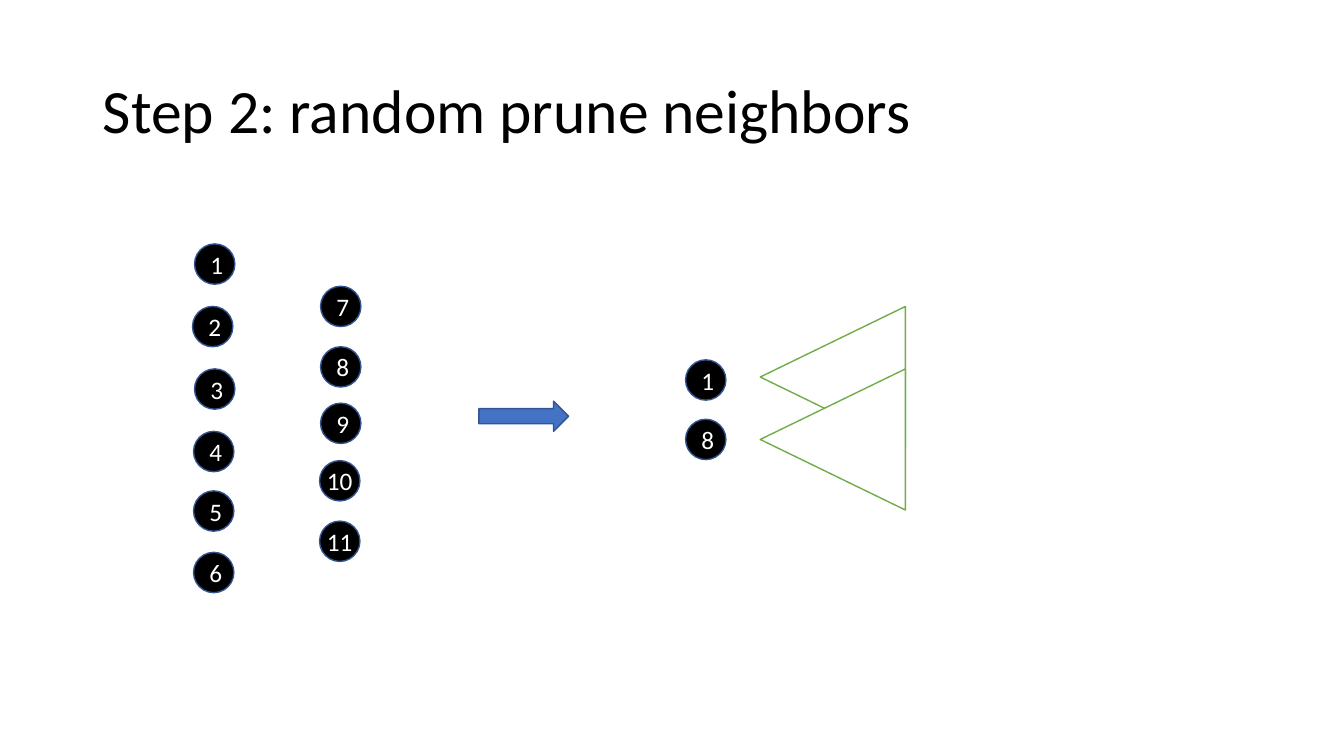
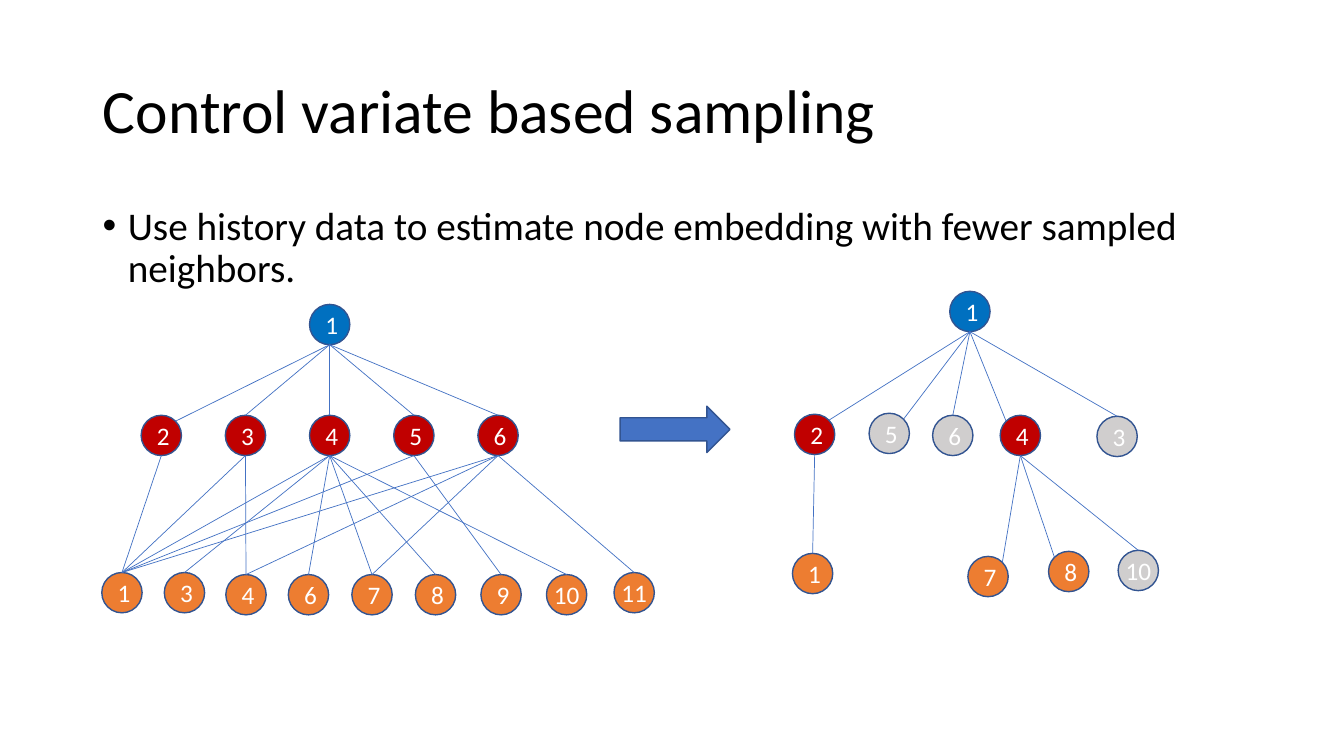
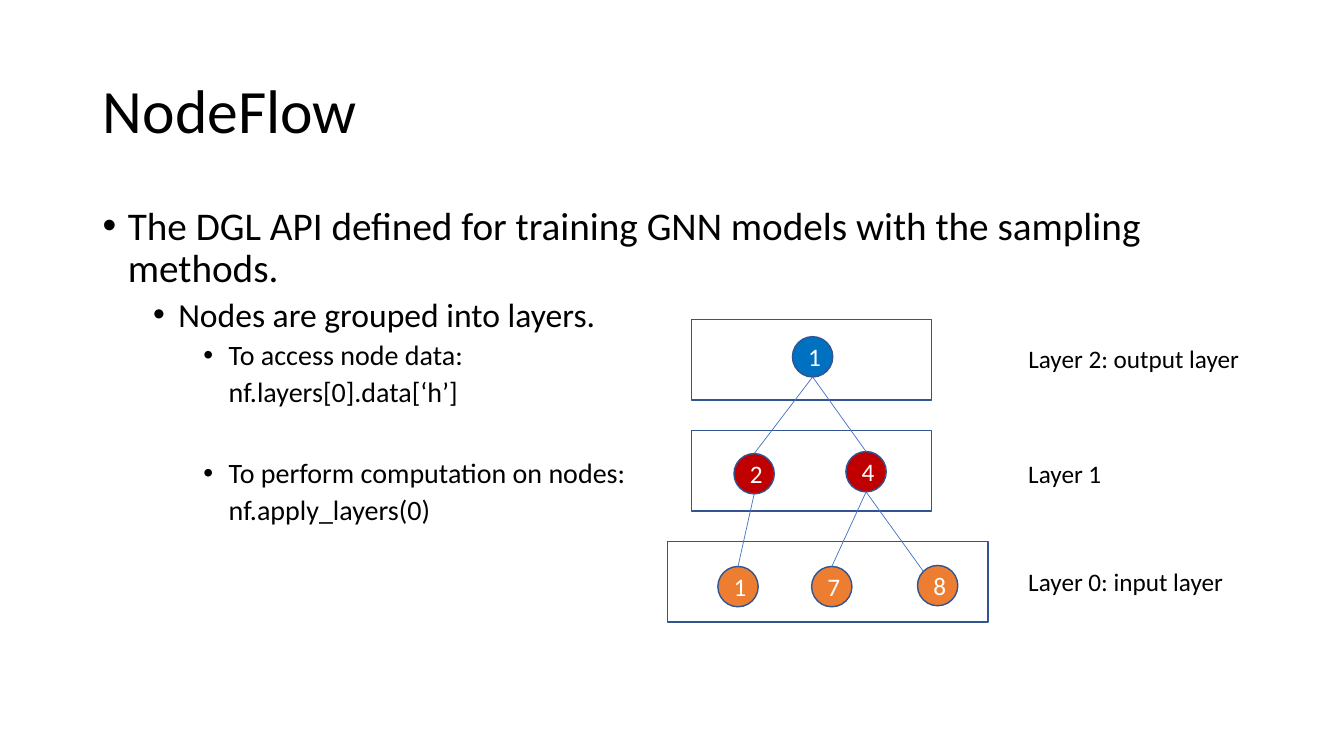
"""Build three slides on neighbor sampling and the NodeFlow API."""
from lxml.etree import SubElement
from pptx import Presentation
from pptx.dml.color import RGBColor
from pptx.enum.shapes import MSO_CONNECTOR, MSO_SHAPE as SHAPE
from pptx.enum.text import MSO_ANCHOR as ANCHOR, MSO_AUTO_SIZE, PP_ALIGN as ALIGN
from pptx.oxml.ns import qn
from pptx.util import Emu, Pt

PX = 9144
FONT = "Calibri"
COLOURS = {
    "black": "000000", "white": "FFFFFF", "outline": "325491", "arrow": "4472C4",
    "green": "70AD47", "root": "0070C0", "hidden": "C00000", "input": "ED7D31",
    "history": "D0CECE",
}
SLIDE_SIZE = (1333, 750)
TITLE_BOX = (92, 40, 1150, 145)
BODY_BOX = (92, 200, 1150, 476)
NODE = 40
SITES = {"top": (0, 0, -1), "top left": (1, -0.7071, -0.7071),
         "bottom": (4, 0, 1), "top right": (7, 0.7071, -0.7071)}
BODY_SIZES = (28, 24, 20)

PRUNE_NODES = [
    ("a1", "black", 193, 242), ("a2", "black", 191, 304), ("a3", "black", 193, 366),
    ("a4", "black", 192, 428), ("a5", "black", 192, 487), ("a6", "black", 192, 548),
    ("b7", "black", 318, 284), ("b8", "black", 318, 344), ("b9", "black", 318, 400),
    ("b10", "black", 317, 457), ("b11", "black", 317, 517),
    ("c1", "black", 680, 357), ("c8", "black", 680, 416),
]
PRUNE_ARROW = (475, 398, 89, 30)
FANS = [(756, 302, 140, 144), (756, 364, 140, 144)]

HISTORY_BODY = [
    (0, True, 0, "Use history data to estimate node embedding with fewer sampled neighbors."),
]
FULL_NODES = [("a1", "root", 307, 302)] + [
    (f"b{number}", "hidden", 140 + 83.5 * column, 412)
    for column, number in enumerate(range(2, 7))
] + [
    ("c1", "input", 101, 568), ("c3", "input", 163, 568), ("c4", "input", 224, 570),
    ("c6", "input", 286, 570), ("c7", "input", 349, 570), ("c8", "input", 412, 570),
    ("c9", "input", 477, 570), ("c10", "input", 542, 570), ("c11", "input", 609, 568),
]
FULL_EDGES = {
    "a1": [("b2", "top right"), "b3", "b4", "b5", "b6"],
    "b2": ["c1"],
    "b3": ["c1", "c4"],
    "b4": ["c1", "c3", "c6", "c7", "c8", "c10"],
    "b5": ["c1", "c9"],
    "b6": ["c1", "c4", "c7", "c11"],
}
SAMPLED_NODES = [
    ("a1", "root", 942, 289), ("b2", "hidden", 788, 411), ("b5", "history", 862, 410),
    ("b6", "history", 925, 412), ("b4", "hidden", 992, 412), ("b3", "history", 1088, 413),
    ("c1", "input", 786, 549), ("c7", "input", 960, 552), ("c8", "input", 1040, 547),
    ("c10", "history", 1109, 546),
]
SAMPLED_EDGES = {
    "a1": [("b2", "top right"), ("b5", "top right"), "b6", ("b4", "top left"), "b3"],
    "b2": ["c1"],
    "b4": [("c7", "top right"), ("c8", "top left"), "c10"],
}
HISTORY_ARROW = (615, 403, 109, 46)

FLOW_BODY = [
    (0, True, 0, "The DGL API defined for training GNN models with the sampling methods."),
    (1, True, 5, "Nodes are grouped into layers."),
    (2, True, 5, "To access node data:"),
    (2, False, 5, "nf.layers[0].data[‘h’]"),
    (2, True, 36, "To perform computation on nodes:"),
    (2, False, 5, "nf.apply_layers(0)"),
]
FLOW_NODES = [
    ("a1", "root", 786, 334), ("b2", "hidden", 728, 450), ("b4", "hidden", 839, 448),
    ("c1", "input", 712, 562), ("c7", "input", 805, 562), ("c8", "input", 910, 561),
]
FLOW_EDGES = {"a1": ["b2", "b4"], "b2": ["c1"], "b4": ["c7", ("c8", "top left")]}
LAYER_BOXES = [(686, 317, 238, 80), (686, 427, 238, 80), (662, 537, 318, 80)]
LAYER_LABELS = [
    ("Layer 2: output layer", (1010, 336, 232, 40)),
    ("Layer 1", (1010, 450, 94, 40)),
    ("Layer 0: input layer", (1010, 557, 216, 40)),
]


def emu(*lengths):
    return [Emu(round(length * PX)) for length in lengths]


def colour(name):
    return RGBColor.from_string(COLOURS[name])


def format_runs(paragraph, size, colour_name="black"):
    for run in paragraph.runs:
        run.font.name = FONT
        run.font.size = Pt(size)
        run.font.color.rgb = colour(colour_name)


def add_titled_slide(presentation, text):
    slide = presentation.slides.add_slide(presentation.slide_layouts[5])
    title = slide.shapes.title
    title.left, title.top, title.width, title.height = emu(*TITLE_BOX)
    frame = title.text_frame
    frame.text = text
    frame.auto_size = MSO_AUTO_SIZE.NONE
    frame.vertical_anchor = ANCHOR.MIDDLE
    paragraph = frame.paragraphs[0]
    paragraph.alignment = ALIGN.LEFT
    paragraph.line_spacing = 0.9
    format_runs(paragraph, 44)
    return slide


def add_text(slide, box, text, wrap):
    frame = slide.shapes.add_textbox(*emu(*box)).text_frame
    frame.word_wrap = wrap
    frame.text = text
    return frame


def add_body(slide, items):
    text = "\n".join(item[3] for item in items)
    frame = add_text(slide, BODY_BOX, text, True)
    for paragraph, (level, bulleted, space, _) in zip(frame.paragraphs, items):
        properties = paragraph._p.get_or_add_pPr()
        margin, hanging = emu(25 + 50 * level, -25 if bulleted else 0)
        properties.set("marL", str(margin))
        properties.set("indent", str(hanging))
        if bulleted:
            SubElement(properties, qn("a:buFont"), typeface="Arial")
            SubElement(properties, qn("a:buChar"), char="•")
        else:
            SubElement(properties, qn("a:buNone"))
        paragraph.level = level
        paragraph.line_spacing = 0.9
        paragraph.space_before = Pt(space)
        format_runs(paragraph, BODY_SIZES[level])


def add_shape(slide, kind, box, fill=None, line="outline"):
    shape = slide.shapes.add_shape(kind, *emu(*box))
    shape.shadow.inherit = False
    if fill:
        shape.fill.solid()
        shape.fill.fore_color.rgb = colour(fill)
    else:
        shape.fill.background()
    shape.line.color.rgb = colour(line)
    shape.line.width = Pt(1)
    return shape


def add_node(slide, label, fill, x, y):
    node = add_shape(slide, SHAPE.OVAL, (x, y, NODE, NODE), fill)
    frame = node.text_frame
    frame.text = label
    frame.vertical_anchor = ANCHOR.MIDDLE
    if len(label) > 1:
        frame.word_wrap = False
        frame.margin_left = frame.margin_right = 0
        frame.margin_top = frame.margin_bottom = 0
    paragraph = frame.paragraphs[0]
    paragraph.alignment = ALIGN.CENTER
    format_runs(paragraph, 18, "white")
    return node


def site_point(node, site):
    _, across, down = SITES[site]
    radius = node.width / 2
    return (Emu(round(node.left + radius * (1 + across))),
            Emu(round(node.top + radius * (1 + down))))


def add_edge(slide, parent, child, child_site):
    ends = (("a:stCxn", parent, "bottom"), ("a:endCxn", child, child_site))
    points = [site_point(node, site) for _, node, site in ends]
    edge = slide.shapes.add_connector(MSO_CONNECTOR.STRAIGHT, *points[0], *points[1])
    edge.line.color.rgb = colour("arrow")
    edge.line.width = Pt(0.5)
    SubElement(edge._element.spPr, qn("a:effectLst"))
    joints = edge._element.nvCxnSpPr.cNvCxnSpPr
    for tag, node, site in ends:
        SubElement(joints, qn(tag), id=str(node.shape_id), idx=str(SITES[site][0]))


def add_graph(slide, nodes, edges):
    drawn = {key: add_node(slide, key[1:], fill, x, y) for key, fill, x, y in nodes}
    for parent, children in edges.items():
        for child in children:
            key, site = (child, "top") if isinstance(child, str) else child
            add_edge(slide, drawn[parent], drawn[key], site)


def build_prune(presentation):
    slide = add_titled_slide(presentation, "Step 2: random prune neighbors")
    add_graph(slide, PRUNE_NODES, {})
    add_shape(slide, SHAPE.RIGHT_ARROW, PRUNE_ARROW, "arrow")
    for box in FANS:
        fan = add_shape(slide, SHAPE.ISOSCELES_TRIANGLE, box, "white", "green")
        fan.rotation = 270


def build_history(presentation):
    slide = add_titled_slide(presentation, "Control variate based sampling")
    add_body(slide, HISTORY_BODY)
    add_graph(slide, SAMPLED_NODES, SAMPLED_EDGES)
    add_shape(slide, SHAPE.RIGHT_ARROW, HISTORY_ARROW, "arrow")
    add_graph(slide, FULL_NODES, FULL_EDGES)


def build_flow(presentation):
    slide = add_titled_slide(presentation, "NodeFlow")
    add_body(slide, FLOW_BODY)
    for box in LAYER_BOXES:
        add_shape(slide, SHAPE.RECTANGLE, box)
    add_graph(slide, FLOW_NODES, FLOW_EDGES)
    for text, box in LAYER_LABELS:
        frame = add_text(slide, box, text, False)
        format_runs(frame.paragraphs[0], 18)


def main():
    presentation = Presentation()
    presentation.slide_width, presentation.slide_height = emu(*SLIDE_SIZE)
    for build in (build_prune, build_history, build_flow):
        build(presentation)
    presentation.save("out.pptx")


if __name__ == "__main__":
    main()
